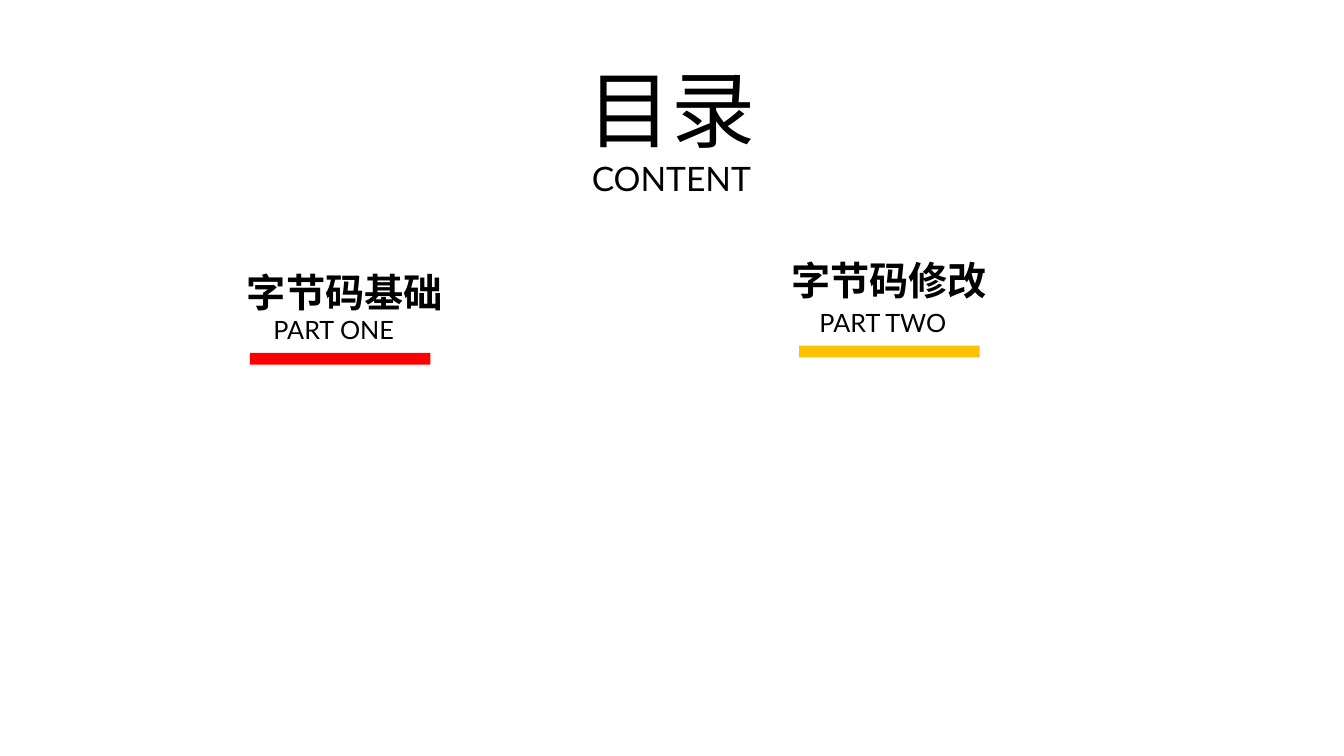
from dataclasses import dataclass

from pptx import Presentation
from pptx import util as u
from pptx.dml.color import RGBColor
from pptx.enum import shapes, text

FONT = "Lato"
COLOURS = {"text": "000000", "first": "FF0000", "second": "FFC000"}


@dataclass
class Box:
    """Left, top, width and height in centimetres."""
    left: float
    top: float
    width: float
    height: float

    def lengths(self) -> list[u.Length]:
        return [u.Cm(value) for value in (self.left, self.top, self.width, self.height)]


@dataclass
class Part:
    name: str
    name_box: Box
    label: str
    label_box: Box
    bar_box: Box
    colour: str


PARTS = [
    Part("字节码基础", Box(5.72, 6.27, 5.94, 1.8),
         "PART ONE", Box(6.38, 7.57, 4.06, 1.24),
         Box(6.3, 8.89, 4.55, 0.3), "first"),
    Part("字节码修改", Box(19.63, 5.99, 5.56, 1.8),
         "PART TWO", Box(20.04, 7.39, 4.42, 1.24),
         Box(20.14, 8.71, 4.55, 0.3), "second"),
]


def add_run(paragraph, words: str, size: float, bold: bool = False) -> None:
    paragraph.alignment = text.PP_ALIGN.CENTER
    run = paragraph.add_run()
    run.text = words
    run.font.name = FONT
    run.font.size = u.Pt(size)
    run.font.bold = bold
    run.font.color.rgb = RGBColor.from_string(COLOURS["text"])


def add_label(slide, words: str, box: Box, size: float, bold: bool = False) -> None:
    frame = slide.shapes.add_textbox(*box.lengths()).text_frame
    frame.word_wrap = True
    frame.auto_size = text.MSO_AUTO_SIZE.SHAPE_TO_FIT_TEXT
    paragraph = frame.paragraphs[0]
    paragraph.line_spacing = 1.3
    add_run(paragraph, words, size, bold)


def add_bar(slide, box: Box, colour: str) -> None:
    bar = slide.shapes.add_shape(shapes.MSO_SHAPE.RECTANGLE, *box.lengths())
    bar.shadow.inherit = False
    bar.fill.solid()
    bar.fill.fore_color.rgb = RGBColor.from_string(COLOURS[colour])
    bar.line.fill.background()


def set_title(slide, box: Box) -> None:
    title = slide.shapes.title
    title.left, title.top, title.width, title.height = box.lengths()
    frame = title.text_frame
    frame.word_wrap = False
    frame.auto_size = text.MSO_AUTO_SIZE.SHAPE_TO_FIT_TEXT
    frame.vertical_anchor = text.MSO_ANCHOR.TOP
    add_run(frame.paragraphs[0], "目录", 60)
    add_run(frame.add_paragraph(), "CONTENT", 24)


def main() -> None:
    presentation = Presentation()
    presentation.slide_width = u.Cm(33.87)
    presentation.slide_height = u.Cm(19.05)
    slide = presentation.slides.add_slide(presentation.slide_layouts[5])

    # Heading
    set_title(slide, Box(14.53, 1.32, 4.78, 3.84))

    # Parts of the talk
    for part in PARTS:
        add_label(slide, part.label, part.label_box, 18)
        add_label(slide, part.name, part.name_box, 28, bold=True)
        add_bar(slide, part.bar_box, part.colour)

    presentation.save("out.pptx")


if __name__ == "__main__":
    main()
